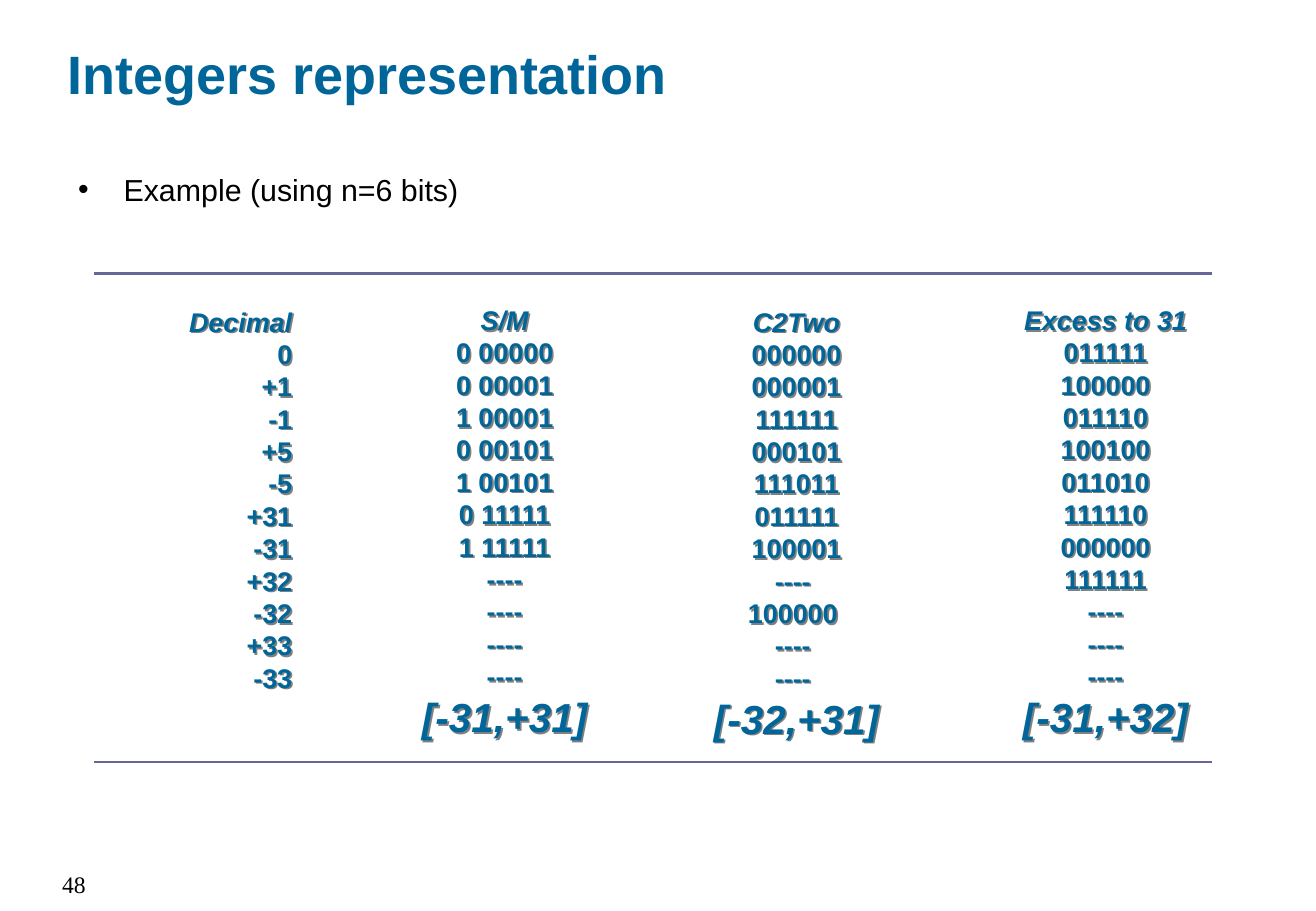
from lxml.etree import SubElement
from pptx import Presentation
from pptx.dml.color import RGBColor
from pptx.enum.shapes import MSO_CONNECTOR
from pptx.enum.text import MSO_ANCHOR, MSO_AUTO_SIZE, PP_ALIGN
from pptx.oxml.ns import qn
from pptx.util import Pt

BLUE, BLACK, RULE_COLOR, SHADOW_COLOR = "006699", "000000", "666699", "808080"
RULE_LEFT, RULE_RIGHT = 55.7, 718.9

# heading, left, top, width, values, range
COLUMNS = [
    ("Decimal", 63, 177.2, 117.4,
     ["0", "+1", "-1", "+5", "-5", "+31", "-31", "+32", "-32", "+33", "-33"], None),
    ("S/M", 237, 176.3, 124.6,
     ["0 00000", "0 00001", "1 00001", "0 00101", "1 00101", "0 11111", "1 11111",
      "----", "----", "----", "----"], "[-31,+31]"),
    ("C2Two", 413, 177.2, 118.8,
     ["000000", "000001", "111111", "000101", "111011", "011111", "100001",
      "---- ", "100000 ", "---- ", "---- "], "[-32,+31]"),
    ("Excess to 31", 594.5, 176.3, 122.4,
     ["011111", "100000", "011110", "100100", "011010", "111110", "000000",
      "111111", "----", "----", "----"], "[-31,+32]"),
]


def rgb(color):
    return RGBColor.from_string(color)


def format_paragraph(paragraph, size, color, name="Arial", bold=False, italic=False,
                     align=PP_ALIGN.LEFT):
    paragraph.alignment = align
    font = paragraph.font
    font.name, font.size, font.bold, font.italic = name, Pt(size), bold, italic
    font.color.rgb = rgb(color)


def add_text_box(slide, left, top, width, height):
    box = slide.shapes.add_textbox(Pt(left), Pt(top), Pt(width), Pt(height))
    box.text_frame.word_wrap = True
    return box


def add_title(slide, text):
    title = slide.shapes.title
    title.left, title.top, title.width, title.height = Pt(32.8), Pt(20.2), Pt(496.8), Pt(46.1)
    frame = title.text_frame
    frame.text = text
    frame.word_wrap = True
    frame.auto_size = MSO_AUTO_SIZE.NONE
    frame.vertical_anchor = MSO_ANCHOR.MIDDLE
    format_paragraph(frame.paragraphs[0], 32, BLUE, bold=True)


def add_bullet(slide, text):
    paragraph = add_text_box(slide, 39.2, 97.9, 678.2, 54.7).text_frame.paragraphs[0]
    paragraph.text = text
    properties = paragraph._p.get_or_add_pPr()
    properties.set("marL", str(Pt(27)))
    properties.set("indent", str(-Pt(27)))
    SubElement(properties, qn("a:buFont"), typeface="Arial")
    SubElement(properties, qn("a:buChar"), char="•")
    format_paragraph(paragraph, 18, BLACK)


def add_shadow(box):
    effects = SubElement(box._element.spPr, qn("a:effectLst"))
    shadow = SubElement(effects, qn("a:outerShdw"), dist=str(Pt(1.4)), dir="2700000",
                        algn="ctr", rotWithShape="0")
    SubElement(shadow, qn("a:srgbClr"), val=SHADOW_COLOR)


def add_column(slide, heading, left, top, width, values, value_range):
    lines = [(heading, 16, True)] + [(value, 16, False) for value in values]
    if value_range:
        lines.append((value_range, 24, True))
    height = 7.2 + sum(1.2 * size for _, size, _ in lines)
    align = PP_ALIGN.CENTER if value_range else PP_ALIGN.RIGHT

    box = add_text_box(slide, left, top, width, height)
    add_shadow(box)
    frame = box.text_frame
    frame.vertical_anchor = MSO_ANCHOR.MIDDLE
    for index, (text, size, italic) in enumerate(lines):
        paragraph = frame.add_paragraph() if index else frame.paragraphs[0]
        paragraph.text = text
        paragraph.line_spacing = Pt(1.2 * size)
        format_paragraph(paragraph, size, BLUE, bold=True, italic=italic, align=align)


def add_rule(slide, y):
    rule = slide.shapes.add_connector(MSO_CONNECTOR.STRAIGHT, Pt(RULE_LEFT), Pt(y),
                                      Pt(RULE_RIGHT), Pt(y))
    rule.line.color.rgb = rgb(RULE_COLOR)
    rule.line.width = Pt(1.5)
    SubElement(rule._element.spPr, qn("a:effectLst"))


def add_page_number(slide, number):
    paragraph = add_text_box(slide, 0, 511.9, 58, 28.1).text_frame.paragraphs[0]
    paragraph.text = number
    format_paragraph(paragraph, 14, BLACK, name="Times New Roman", align=PP_ALIGN.RIGHT)


def main():
    presentation = Presentation()
    presentation.slide_width, presentation.slide_height = Pt(780.48), Pt(540)
    slide = presentation.slides.add_slide(presentation.slide_layouts[5])

    # Heading and introduction
    add_title(slide, "Integers representation")
    add_bullet(slide, "Example (using n=6 bits)")

    # Number columns between two rules
    for column in COLUMNS:
        add_column(slide, *column)
    for y in (162.2, 451.7):
        add_rule(slide, y)

    # Footer
    add_page_number(slide, "48")

    presentation.save("out.pptx")


if __name__ == "__main__":
    main()
